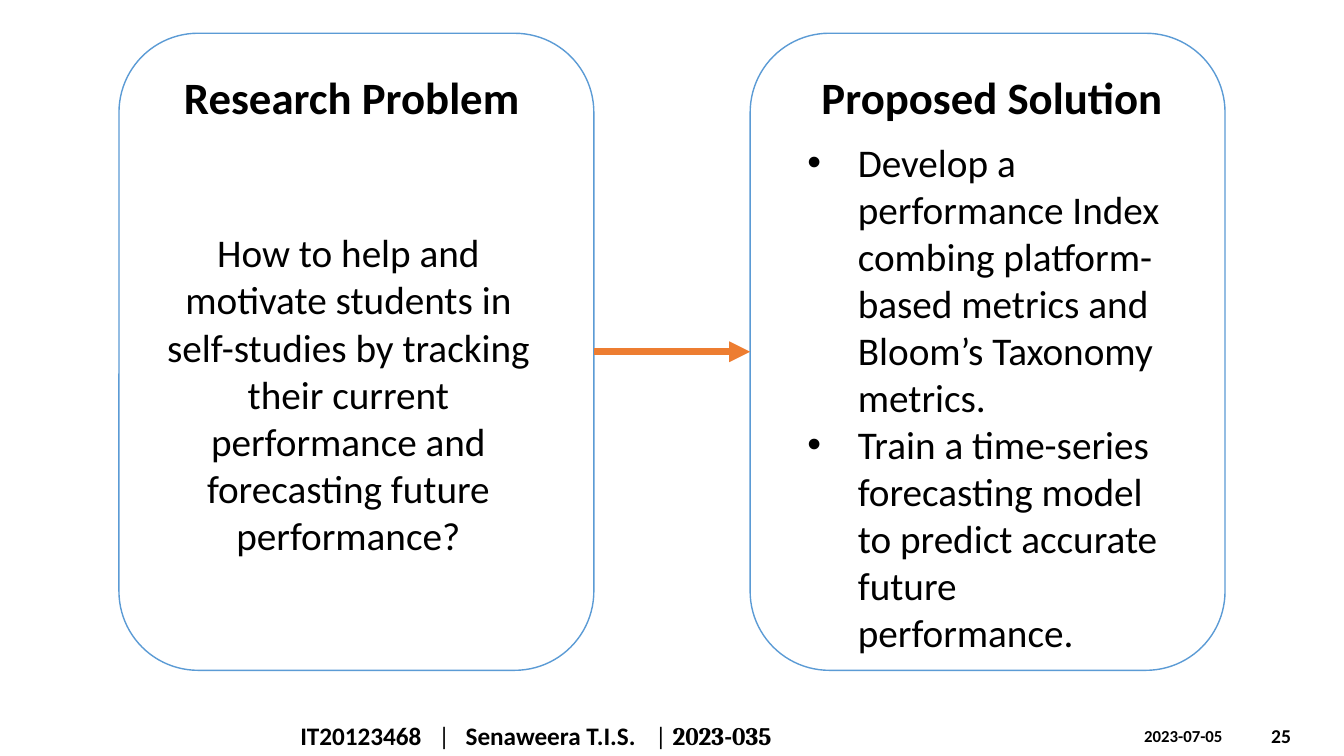
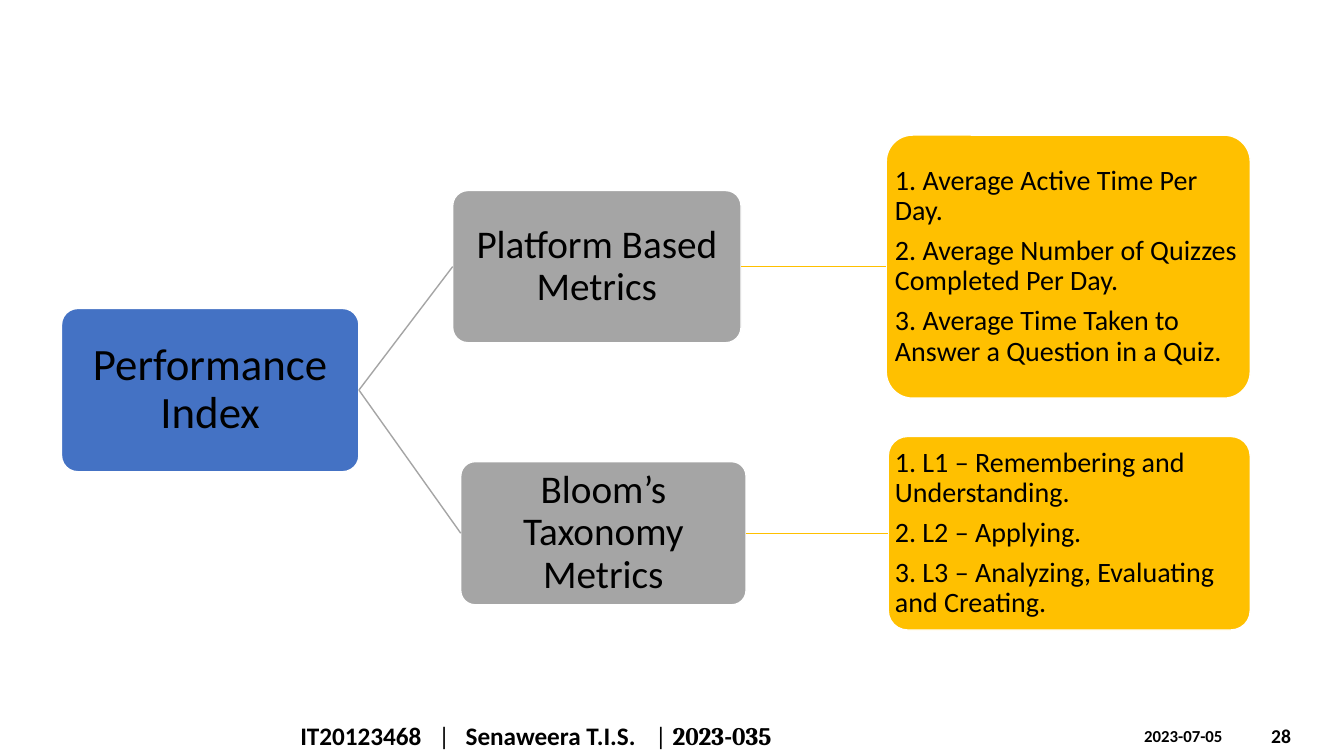
from dataclasses import dataclass
from typing import NamedTuple

from lxml.etree import SubElement
from pptx import Presentation
from pptx.dml.color import RGBColor
from pptx.enum.shapes import MSO_CONNECTOR as Link, MSO_SHAPE as Shape
from pptx.enum.text import MSO_ANCHOR as Anchor, PP_ALIGN as Align
from pptx.oxml.ns import qn
from pptx.util import Inches, Pt

BLACK, WHITE = "000000", "FFFFFF"
CARD_EDGE, ARROW = "5B9BD5", "ED7D31"
BLUE, GREY, GOLD = "4472C4", "A5A5A5", "FFC000"
BODY_FONT, ID_FONT = "Calibri", "Cambria"
RIGHT, LEFT = 3, 1  # connection sites


class Box(NamedTuple):
    left: float
    top: float
    width: float
    height: float

    def lengths(self) -> list:
        return [Inches(value) for value in self]


@dataclass
class Card:
    outline: Box
    title_box: Box
    title: str
    body_box: Box
    body: list[str]
    bulleted: bool = False


@dataclass
class Node:
    box: Box
    colour: str
    size: int
    lines: list[str]
    align: Align = Align.CENTER
    inset: float = 0.02


@dataclass
class Branch:
    metric: Node
    details: Node


# Content
CARDS = [
    Card(Box(1.18, 0.33, 4.71, 6.32), Box(1.61, 0.64, 3.76, 0.64), "Research Problem",
         Box(1.55, 2.22, 3.81, 3.4),
         ["How to help and motivate students in self-studies by tracking their "
          "current performance and forecasting future performance?"]),
    Card(Box(7.44, 0.33, 4.71, 6.32), Box(7.96, 0.64, 3.76, 0.64), "Proposed Solution",
         Box(7.91, 1.32, 3.81, 5.28),
         ["Develop a performance Index combing platform-based metrics and "
          "Bloom’s Taxonomy metrics.",
          "Train a time-series forecasting model to predict accurate future performance."],
         bulleted=True),
]

INDEX = Node(Box(0.61, 3.06, 2.95, 1.62), BLUE, 32, ["Performance Index"])
BRANCHES = [
    Branch(Node(Box(4.49, 1.89, 2.86, 1.51), GREY, 28, ["Platform Based Metrics"]),
           Node(Box(8.79, 1.34, 3.61, 2.61), GOLD, 20,
                ["1. Average Active Time Per Day.",
                 "2. Average Number of Quizzes Completed Per Day.",
                 "3. Average Time Taken to Answer a Question in a Quiz."],
                Align.LEFT, 0.01)),
    Branch(Node(Box(4.57, 4.58, 2.83, 1.42), GREY, 28, ["Bloom’s Taxonomy Metrics"]),
           Node(Box(8.81, 4.33, 3.59, 1.92), GOLD, 20,
                ["1. L1 – Remembering and Understanding.",
                 "2. L2 – Applying.",
                 "3. L3 – Analyzing, Evaluating and Creating."],
                Align.LEFT, 0.01)),
]


# Shared drawing
def rgb(colour: str) -> RGBColor:
    return RGBColor.from_string(colour)


def add_run(paragraph, text: str, size: int, bold: bool = False, font: str = BODY_FONT):
    run = paragraph.add_run()
    run.text = text
    run.font.name, run.font.size, run.font.bold = font, Pt(size), bold
    run.font.color.rgb = rgb(BLACK)


def add_bullet(paragraph):
    props = paragraph._p.get_or_add_pPr()
    props.set("marL", str(Inches(0.5)))
    props.set("indent", str(Inches(-0.5)))
    SubElement(props, qn("a:buFont")).set("typeface", "Arial")
    SubElement(props, qn("a:buChar")).set("char", "•")


def add_tab_stops(paragraph, stops: list[float]):
    tabs = SubElement(paragraph._p.get_or_add_pPr(), qn("a:tabLst"))
    for stop in stops:
        tab = SubElement(tabs, qn("a:tab"))
        tab.set("pos", str(Inches(stop)))
        tab.set("algn", "l")


def add_paragraphs(frame, lines: list[str], size: int, align: Align,
                   bold: bool = False, bulleted: bool = False) -> list:
    for i, line in enumerate(lines):
        paragraph = frame.add_paragraph() if i else frame.paragraphs[0]
        if bulleted:
            add_bullet(paragraph)
        paragraph.alignment = align
        add_run(paragraph, line, size, bold)
    return list(frame.paragraphs)


def add_text_frame(slide, box: Box, anchor: Anchor = Anchor.TOP):
    frame = slide.shapes.add_textbox(*box.lengths()).text_frame
    frame.word_wrap, frame.vertical_anchor = True, anchor
    return frame


def add_rounded(slide, box: Box, fill: str, edge: str):
    shape = slide.shapes.add_shape(Shape.ROUNDED_RECTANGLE, *box.lengths())
    shape.shadow.inherit = False
    shape.fill.solid()
    shape.fill.fore_color.rgb = rgb(fill)
    shape.line.color.rgb = rgb(edge)
    shape.line.width = Pt(1)
    return shape


def add_link(slide, start, end, colour: str, width: int = 1, arrow: bool = False):
    link = slide.shapes.add_connector(Link.STRAIGHT, 0, 0, 0, 0)
    link.begin_connect(start, RIGHT)
    link.end_connect(end, LEFT)
    link.line.color.rgb = rgb(colour)
    link.line.width = Pt(width)
    if arrow:
        SubElement(link.line._get_or_add_ln(), qn("a:tailEnd")).set("type", "triangle")
    SubElement(link._element.spPr, qn("a:effectLst"))


def add_footer(slide, number: str):
    number_frame = add_text_frame(slide, Box(12.51, 7.1, 0.74, 0.4), Anchor.MIDDLE)
    add_paragraphs(number_frame, [number], 14, Align.LEFT, bold=True)
    date_frame = add_text_frame(slide, Box(11.25, 7.15, 1.17, 0.3))
    add_paragraphs(date_frame, ["2023-07-05"], 12, Align.LEFT, bold=True)

    author = add_text_frame(slide, Box(2.88, 7.1, 7.45, 0.4), Anchor.MIDDLE).paragraphs[0]
    add_tab_stops(author, [1.37, 1.64, 3.52])
    add_run(author, "IT20123468", 18, bold=True)
    add_run(author, "\t|\t", 18)
    add_run(author, "Senaweera T.I.S.", 18, bold=True)
    add_run(author, "\t| ", 18)
    add_run(author, "2023-035", 18, bold=True, font=ID_FONT)


def new_slide(deck, number: str):
    slide = deck.slides.add_slide(deck.slide_layouts[6])
    slide.background.fill.solid()
    slide.background.fill.fore_color.rgb = rgb(WHITE)
    add_footer(slide, number)
    return slide


# Problem and solution
def add_card(slide, card: Card):
    outline = add_rounded(slide, card.outline, WHITE, CARD_EDGE)
    add_paragraphs(add_text_frame(slide, card.title_box), [card.title], 32,
                   Align.CENTER, bold=True)
    add_paragraphs(add_text_frame(slide, card.body_box), card.body, 28,
                   Align.LEFT if card.bulleted else Align.CENTER, bulleted=card.bulleted)
    return outline


def build_problem_slide(deck):
    slide = new_slide(deck, "25")
    problem, solution = [add_card(slide, card) for card in CARDS]
    add_link(slide, problem, solution, ARROW, 5, arrow=True)


# Performance index tree
def add_node(slide, node: Node):
    shape = add_rounded(slide, node.box, node.colour, WHITE)
    shape.adjustments[0] = 0.1
    frame = shape.text_frame
    frame.word_wrap, frame.vertical_anchor = True, Anchor.MIDDLE
    frame.margin_left = frame.margin_right = Inches(node.inset)
    frame.margin_top = frame.margin_bottom = Inches(node.inset)
    for i, paragraph in enumerate(add_paragraphs(frame, node.lines, node.size, node.align)):
        paragraph.line_spacing = 0.9
        if i:
            paragraph.space_before = Pt(0.35 * node.size)
    return shape


def build_index_slide(deck):
    slide = new_slide(deck, "28")
    index = add_node(slide, INDEX)
    for branch in BRANCHES:
        metric = add_node(slide, branch.metric)
        details = add_node(slide, branch.details)
        add_link(slide, index, metric, GREY)
        add_link(slide, metric, details, GOLD)


def main():
    deck = Presentation()
    deck.slide_width, deck.slide_height = Inches(13.33), Inches(7.5)
    build_problem_slide(deck)
    build_index_slide(deck)
    deck.save("out.pptx")


if __name__ == "__main__":
    main()
